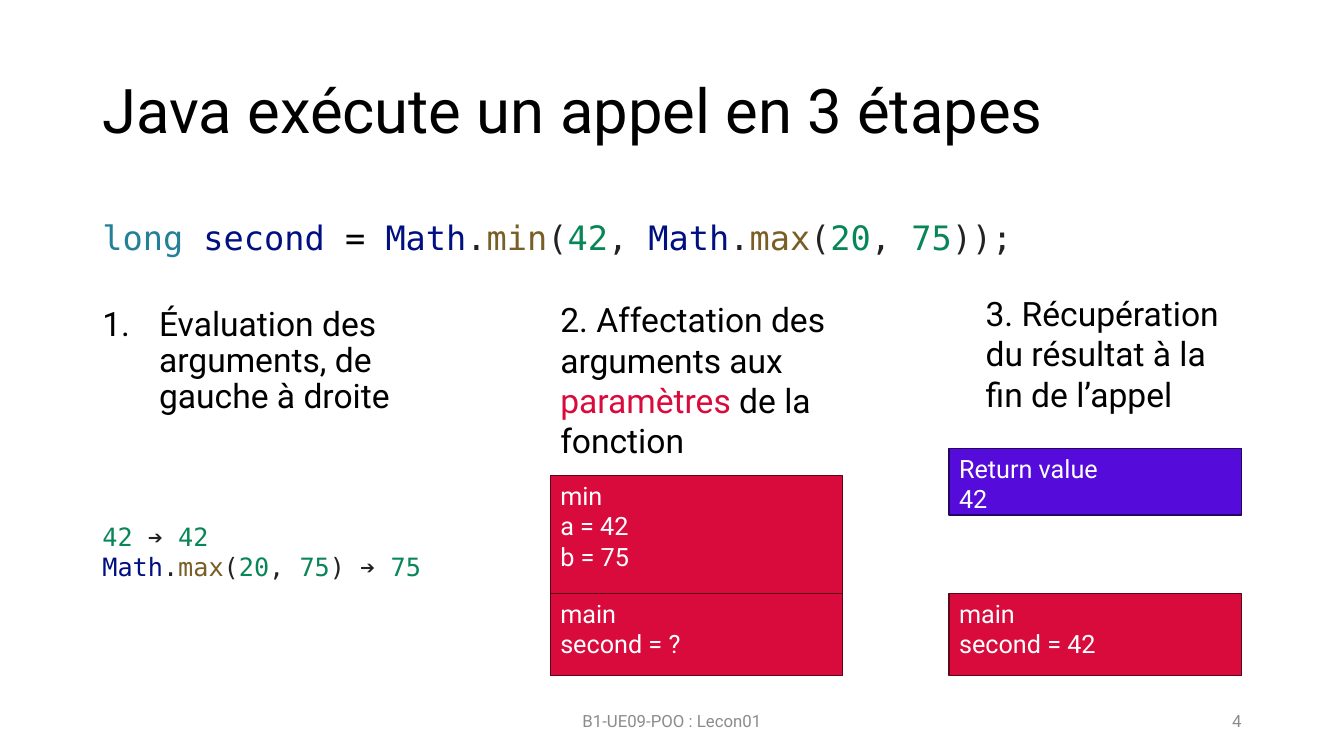
from lxml.etree import SubElement
from pptx import Presentation
from pptx.dml.color import RGBColor
from pptx.enum.shapes import MSO_SHAPE as Shape
from pptx.enum.text import MSO_ANCHOR as Anchor, PP_ALIGN as Align
from pptx.oxml.ns import qn
from pptx.util import Cm, Pt

BLACK, WHITE, GREY = "000000", "FFFFFF", "8C8C8C"
RED, DARK_RED, VIOLET, DARK_VIOLET = "D90B3C", "5F051A", "550BD9", "25055F"
PUNCTUATION, NUMBER = "222222", "098658"
TOKEN_COLORS = {"long": "267F99", "second": "001080", "Math": "001080",
                "min": "795E26", "max": "795E26", "=": BLACK}


def rgb(value):
    """Turn a hex string into a colour."""
    return RGBColor.from_string(value)


def highlight(code):
    """Split code at the bars into runs coloured by the kind of token."""
    runs = []
    for token in code.split("|"):
        word = token.strip()
        default = NUMBER if word.isdigit() else PUNCTUATION
        runs.append((token, TOKEN_COLORS.get(word, default)))
    return runs


def write(frame, lines, size=24, font="Roboto", color=BLACK, align=Align.LEFT,
          anchor=Anchor.TOP, spacing=None, before=None, number_indent=None):
    """Fill a text frame with lines, each a string or a list of coloured runs."""
    frame.word_wrap = True
    frame.vertical_anchor = anchor
    for index, line in enumerate(lines):
        paragraph = frame.add_paragraph() if index else frame.paragraphs[0]
        paragraph.alignment = align
        if spacing:
            paragraph.line_spacing = spacing
        if before:
            paragraph.space_before = Pt(before)
        if number_indent:
            properties = paragraph._p.get_or_add_pPr()
            properties.set("marL", str(Cm(number_indent)))
            properties.set("indent", str(-Cm(number_indent)))
            SubElement(properties, qn("a:buAutoNum"), type="arabicPeriod")
        for text, run_color in [(line, color)] if isinstance(line, str) else line:
            run = paragraph.add_run()
            run.text = text
            run.font.size = Pt(size)
            run.font.name = font
            run.font.color.rgb = rgb(run_color)


class SlideBuilder:
    """Hold the current slide and the style of its elements."""

    code_font = "DejaVu Sans Mono"
    frame_width = 7.37

    def __init__(self, slide):
        """Keep the slide to draw on."""
        self.slide = slide

    def text(self, left, top, width, height, *lines, **style):
        """Add a text box."""
        box = self.slide.shapes.add_textbox(Cm(left), Cm(top), Cm(width), Cm(height))
        write(box.text_frame, lines, **style)

    def code(self, left, top, width, height, *lines, size):
        """Add a text box of highlighted code."""
        self.text(left, top, width, height, *map(highlight, lines),
                  size=size, font=self.code_font)

    def stack_frame(self, left, top, height, *lines, fill=RED, line=DARK_RED):
        """Add a filled rectangle showing one frame of the call stack."""
        shape = self.slide.shapes.add_shape(
            Shape.RECTANGLE, Cm(left), Cm(top), Cm(self.frame_width), Cm(height))
        shape.shadow.inherit = False
        shape.fill.solid()
        shape.fill.fore_color.rgb = rgb(fill)
        shape.line.color.rgb = rgb(line)
        shape.line.width = Pt(1)
        write(shape.text_frame, lines, size=18, color=WHITE)


def main():
    """Build the slide and save it."""
    presentation = Presentation()
    presentation.slide_width, presentation.slide_height = Cm(33.87), Cm(19.05)
    builder = SlideBuilder(presentation.slides.add_slide(presentation.slide_layouts[6]))
    margin, call_left, result_left = 2.33, 13.87, 23.92

    builder.text(margin, 1.02, 29.21, 3.68, "Java exécute un appel en 3 étapes",
                 size=44, anchor=Anchor.MIDDLE, spacing=0.9)
    builder.code(margin, 5.33, 26.37, 1.27,
                 "long |second| = |Math|.|min|(|42|, |Math|.|max|(|20|, |75|));", size=24)

    builder.text(margin, 7.62, 8.89, 3.33, "Évaluation des arguments, de gauche à droite",
                 spacing=0.9, before=10, number_indent=1.43)
    builder.code(margin, 13, 9.6, 1.8, "42 |➔ |42",
                 "Math|.|max|(|20|, |75|) ➔| 75", size=18)

    builder.text(call_left, 7.42, 8.05, 4.37,
                 [("2. Affectation des arguments aux ", BLACK), ("paramètres", RED),
                  (" de la fonction", BLACK)])
    builder.stack_frame(call_left, 14.95, 2.08, "main", "second = ?")
    builder.stack_frame(call_left, 11.98, 2.97, "min", "a = 42", "b = 75")

    builder.text(24.59, 7.26, 6.96, 3.33, "3. Récupération du résultat à la fin de l’appel")
    builder.stack_frame(result_left, 14.95, 2.08, "main", "second = 42")
    builder.stack_frame(result_left, 11.3, 1.68, "Return value", "42",
                        fill=VIOLET, line=DARK_VIOLET)

    footer = {"size": 12, "color": GREY, "anchor": Anchor.MIDDLE}
    builder.text(11.22, 17.65, 11.43, 1.02, "B1-UE09-POO : Lecon01",
                 align=Align.CENTER, **footer)
    builder.text(result_left, 17.65, 7.62, 1.02, "4", align=Align.RIGHT, **footer)
    presentation.save("out.pptx")


if __name__ == "__main__":
    main()
